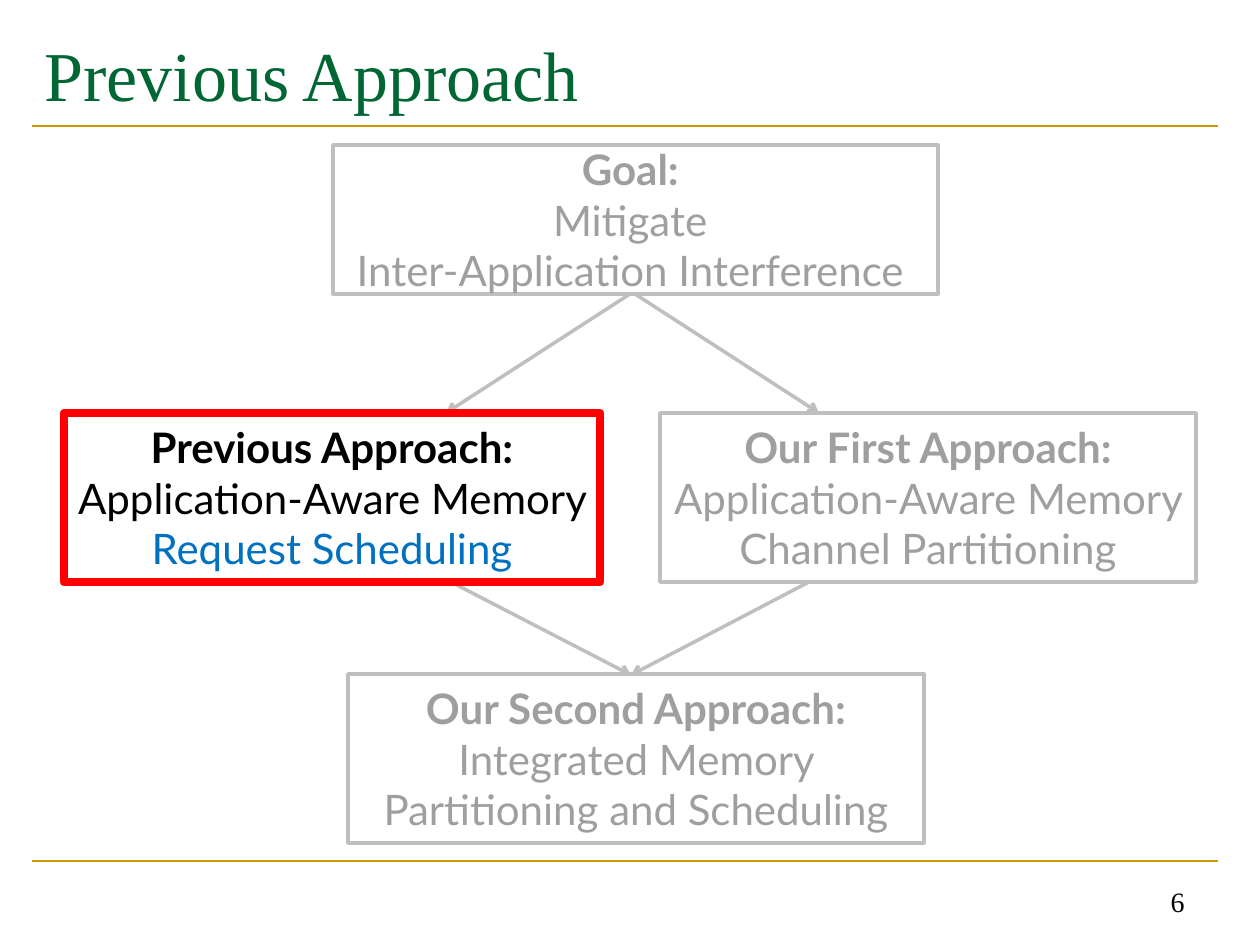
from dataclasses import dataclass

from lxml.etree import SubElement
from pptx import Presentation
from pptx.dml.color import RGBColor
from pptx.enum.shapes import MSO_CONNECTOR as Connector, MSO_SHAPE as Shape
from pptx.enum.text import MSO_ANCHOR as Anchor, PP_ALIGN as Align
from pptx.oxml.ns import qn
from pptx.util import Pt

EMU_PER_PX = 914400 / 126
COLORS = {
    "gold": "CC9900",
    "green": "006633",
    "black": "000000",
    "white": "FFFFFF",
    "blue": "0070C0",
    "red": "FF0000",
    "border": "BFBFBF",
    "muted": "9F9F9F",
}
SERIF = "Times New Roman"
SANS = "Lato"


@dataclass(frozen=True)
class Run:
    text: str
    color: str = "muted"
    bold: bool = False


@dataclass(frozen=True)
class Box:
    rect: tuple[int, int, int, int]
    paragraphs: list[list[Run]]
    line: str = "border"
    weight: int = 2


@dataclass(frozen=True)
class Line:
    start: tuple[int, int]
    end: tuple[int, int]
    color: str = "border"
    weight: float = 2
    arrow: bool = True


RULES = [Line((32, y), (1218, y), "gold", 1.5, False) for y in (126, 861)]
ARROWS = [
    Line((630, 294), (446, 413)),
    Line((635, 294), (819, 413)),
    Line((451, 582), (631, 675)),
    Line((809, 582), (631, 675)),
]
BOXES = [
    Box((660, 413, 536, 169), [
        [Run("Our First Approach:", bold=True)],
        [Run("Application-Aware Memory Channel Partitioning")],
    ]),
    Box((348, 674, 576, 169), [
        [Run("Our Second Approach:", bold=True),
         Run(" Integrated Memory Partitioning and Scheduling")],
    ]),
    Box((64, 413, 536, 169), [
        [Run("Previous Approach:", "black", True)],
        [Run("Application-Aware Memory ", "black"),
         Run("Request Scheduling", "blue")],
    ], "red", 5),
    Box((333, 145, 605, 149), [
        [Run("Goal: ", bold=True)],
        [Run("Mitigate ")],
        [Run("Inter-Application Interference ")],
    ]),
]


def px(value: int) -> int:
    return round(value * EMU_PER_PX)


def rgb(name: str) -> RGBColor:
    return RGBColor.from_string(COLORS[name])


def add_run(p, run: Run, font: str, size: int) -> None:
    r = p.add_run()
    r.text = run.text
    r.font.name = font
    r.font.size = Pt(size)
    r.font.bold = run.bold
    r.font.color.rgb = rgb(run.color)


def draw_line(s, line: Line) -> None:
    cxn = s.shapes.add_connector(
        Connector.STRAIGHT, *map(px, line.start + line.end))
    cxn.line.color.rgb = rgb(line.color)
    cxn.line.width = Pt(line.weight)
    if line.arrow:
        SubElement(cxn.line._get_or_add_ln(), qn("a:tailEnd"), type="arrow")
    SubElement(cxn._element.spPr, qn("a:effectLst"))


def draw_box(s, box: Box) -> None:
    sp = s.shapes.add_shape(Shape.RECTANGLE, *map(px, box.rect))
    sp.shadow.inherit = False
    sp.fill.solid()
    sp.fill.fore_color.rgb = rgb("white")
    sp.line.color.rgb = rgb(box.line)
    sp.line.width = Pt(box.weight)
    tf = sp.text_frame
    tf.word_wrap = True
    tf.vertical_anchor = Anchor.MIDDLE
    for i, runs in enumerate(box.paragraphs):
        p = tf.add_paragraph() if i else tf.paragraphs[0]
        p.alignment = Align.CENTER
        for run in runs:
            add_run(p, run, SANS, 24)


def draw_title(s, text: str) -> None:
    sp = s.shapes.title
    sp.left, sp.top, sp.width, sp.height = map(px, (32, 21, 1187, 105))
    tf = sp.text_frame
    tf.vertical_anchor = Anchor.MIDDLE
    p = tf.paragraphs[0]
    p.alignment = Align.LEFT
    add_run(p, Run(text, "green"), SERIF, 40)


def draw_page_number(s, text: str) -> None:
    sp = s.shapes.add_textbox(*map(px, (903, 861, 294, 63)))
    tf = sp.text_frame
    tf.word_wrap = True
    tf.vertical_anchor = Anchor.BOTTOM
    p = tf.paragraphs[0]
    p.alignment = Align.RIGHT
    add_run(p, Run(text, "black"), SERIF, 16)


def main() -> None:
    prs = Presentation()
    prs.slide_width, prs.slide_height = px(1260), px(945)
    s = prs.slides.add_slide(prs.slide_layouts[5])
    draw_title(s, "Previous Approach")
    draw_page_number(s, "6")
    for line in RULES + ARROWS:
        draw_line(s, line)
    for box in BOXES:
        draw_box(s, box)
    prs.save("out.pptx")


if __name__ == "__main__":
    main()
